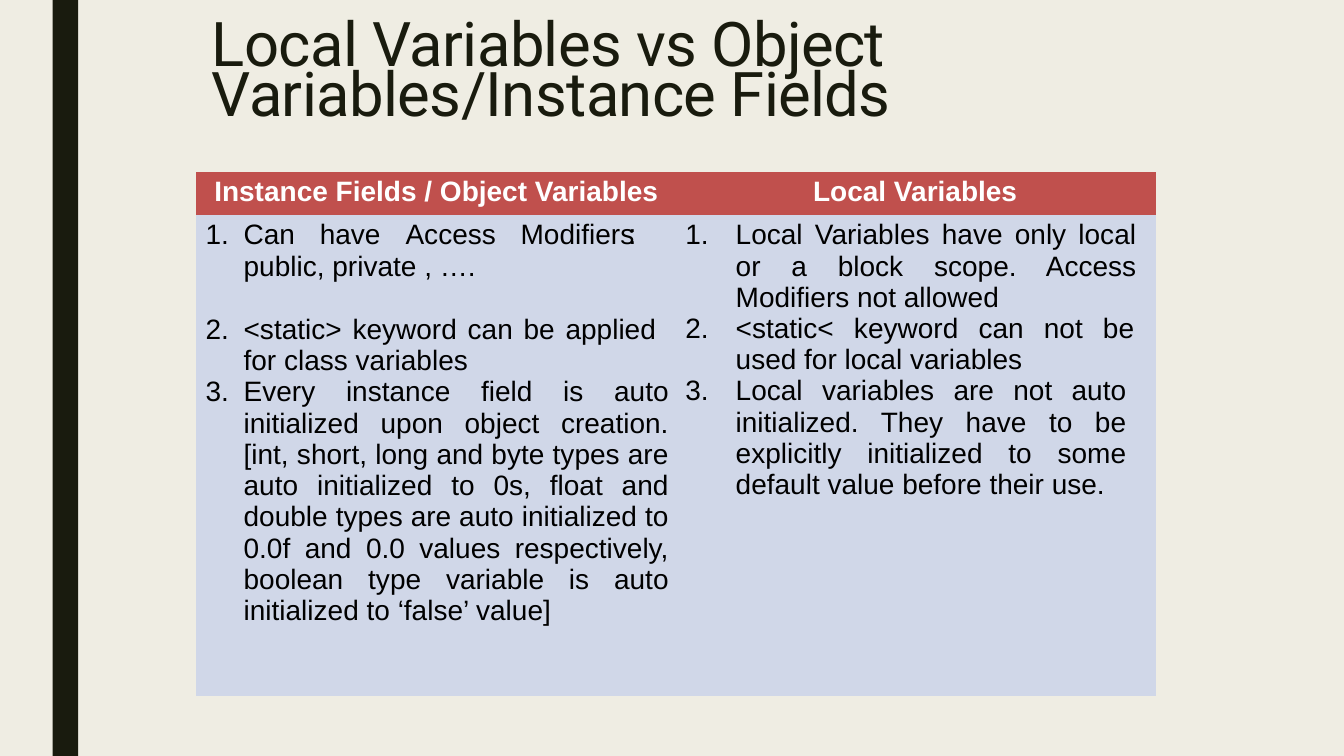
from pptx import Presentation
from pptx.dml.color import RGBColor
from pptx.enum.shapes import MSO_SHAPE
from pptx.enum.text import PP_ALIGN
from pptx.oxml.xmlchemy import OxmlElement
from pptx.util import Cm, Pt

RECT = MSO_SHAPE.RECTANGLE
JUSTIFY = PP_ALIGN.JUSTIFY
PLAIN_TABLE = "{2D5ABB26-0587-4C30-8999-92F81FD0307C}"
DARK, CREAM, RED, BLUE = "191B0E", "EFEDE3", "C0504D", "D0D7E8"

HEADERS = [("Instance Fields / Object Variables", 0.46), ("Local Variables", 3.45)]
MODIFIER_TABS = [1.2, 3.12, 5.28, 8.18, 11.66]
FIELD_RULES = [
    ("<static> keyword can be applied for class variables", 23, 0.5),
    ("Every instance field is auto initialized upon object creation. "
     "[int, short, long and byte types are auto initialized to 0s, float and "
     "double types are auto initialized to 0.0f and 0.0 values respectively, "
     "boolean type variable is auto initialized to ‘false’ value]", 0, 0.18),
]
LOCAL_RULES = [
    ("Local Variables have only local or a block scope. "
     "Access Modifiers not allowed", 0.5),
    ("<static< keyword can not be used for local variables", 0.55),
    ("Local variables are not auto initialized. They have to be explicitly "
     "initialized to some default value before their use.", 0.75),
]


def rgb(value):
    """Turn a hex string into a colour."""
    return RGBColor.from_string(value)


def write(p, text, color, left, size=20, font="Arial", bold=False, right=0):
    """Write one styled run into a paragraph with side margins in cm."""
    p.text = text
    pPr = p._p.get_or_add_pPr()
    pPr.set("marL", str(Cm(left)))
    pPr.set("marR", str(Cm(right)))
    r = p.runs[0]
    r.font.name, r.font.size, r.font.bold = font, Pt(size), bold
    r.font.color.rgb = rgb(color)
    return r


def number(p, hang, start=1, tabs=()):
    """Give a paragraph a hanging automatic number and tab stops."""
    pPr = p._p.get_or_add_pPr()
    pPr.set("indent", str(-Cm(hang)))
    bullet = OxmlElement("a:buAutoNum")
    bullet.set("type", "arabicPeriod")
    if start > 1:
        bullet.set("startAt", str(start))
    pPr.append(bullet)
    if tabs:
        stops = OxmlElement("a:tabLst")
        for pos in tabs:
            tab = OxmlElement("a:tab")
            tab.set("pos", str(Cm(pos)))
            tab.set("algn", "l")
            stops.append(tab)
        pPr.append(stops)


def add_bar(s, x, y, w, h):
    """Draw the dark vertical bar."""
    bar = s.shapes.add_shape(RECT, Cm(x), Cm(y), Cm(w), Cm(h))
    bar.shadow.inherit = False
    bar.fill.solid()
    bar.fill.fore_color.rgb = rgb(DARK)
    bar.line.fill.background()


def add_title(s, x, y, w, h):
    """Place the tightly spaced slide title."""
    tf = s.shapes.add_textbox(Cm(x), Cm(y), Cm(w), Cm(h)).text_frame
    tf.word_wrap = True
    tf.margin_left = tf.margin_right = tf.margin_bottom = 0
    tf.margin_top = Cm(0.28)
    p = tf.paragraphs[0]
    p.line_spacing = Pt(36)
    r = write(p, "Local Variables vs Object Variables/Instance Fields",
              DARK, 0, 44, "Roboto")
    r._r.get_or_add_rPr().set("spc", "-45")


def fill_fields(tf):
    """List the rules of instance fields."""
    p = tf.paragraphs[0]
    write(p, "Can\thave\tAccess\tModifiers\t:", "000000", 1.2)
    number(p, 0.96, tabs=MODIFIER_TABS)
    write(tf.add_paragraph(), "public, private , ….", "000000", 1.2)
    for text, gap, right in FIELD_RULES:
        p = tf.add_paragraph()
        p.alignment, p.space_before = JUSTIFY, Pt(gap)
        write(p, text, "000000", 1.2, right=right)
        number(p, 0.96, start=2)


def fill_locals(tf):
    """List the rules of local variables."""
    for i, (text, right) in enumerate(LOCAL_RULES):
        p = tf.add_paragraph() if i else tf.paragraphs[0]
        p.alignment = JUSTIFY
        write(p, text, "000000", 1.5, right=right)
        number(p, 1.27)


def add_comparison(s, x, y, w, h):
    """Place the two-column comparison table."""
    table = s.shapes.add_table(2, 2, Cm(x), Cm(y), Cm(w), Cm(h)).table
    table._tbl.tblPr.find("{*}tableStyleId").text = PLAIN_TABLE
    head = 1.09
    table.rows[0].height, table.rows[1].height = Cm(head), Cm(h - head)
    for col in table.columns:
        col.width = Cm(w / 2)
    for i, cell in enumerate(table.iter_cells()):
        cell.margin_left = cell.margin_right = cell.margin_bottom = 0
        cell.margin_top = Cm(0.1)
        cell.fill.solid()
        cell.fill.fore_color.rgb = rgb(RED if i < 2 else BLUE)
    for i, (text, left) in enumerate(HEADERS):
        p = table.cell(0, i).text_frame.paragraphs[0]
        write(p, text, "FFFFFF", left, bold=True)
    fill_fields(table.cell(1, 0).text_frame)
    fill_locals(table.cell(1, 1).text_frame)


def main():
    """Build and save the slide."""
    prs = Presentation()
    prs.slide_width, prs.slide_height = Cm(33.87), Cm(19.05)
    s = prs.slides.add_slide(prs.slide_layouts[6])
    s.background.fill.solid()
    s.background.fill.fore_color.rgb = rgb(CREAM)
    add_bar(s, 1.33, 0, 0.64, 19.05)
    add_title(s, 5.34, 0.43, 21.46, 2.9)
    add_comparison(s, 4.94, 4.34, 24.2, 13.2)
    prs.save("out.pptx")


if __name__ == "__main__":
    main()
